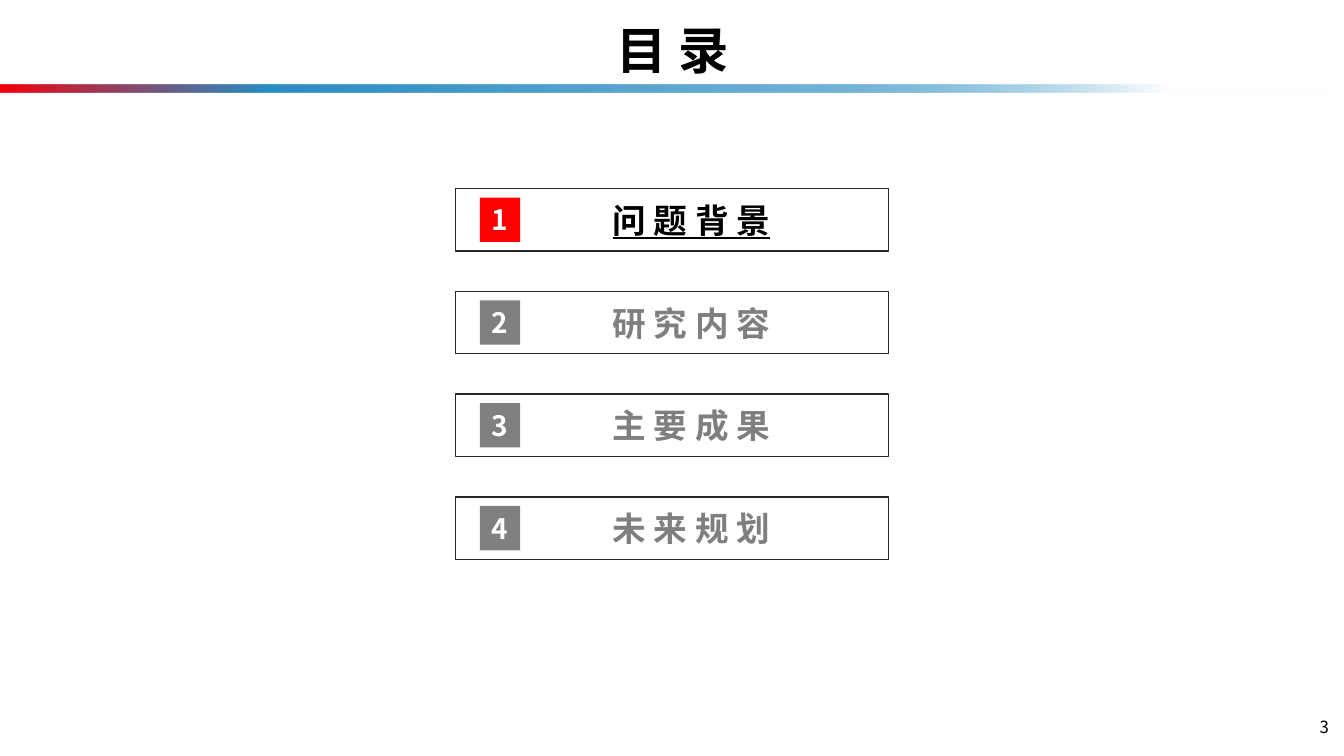
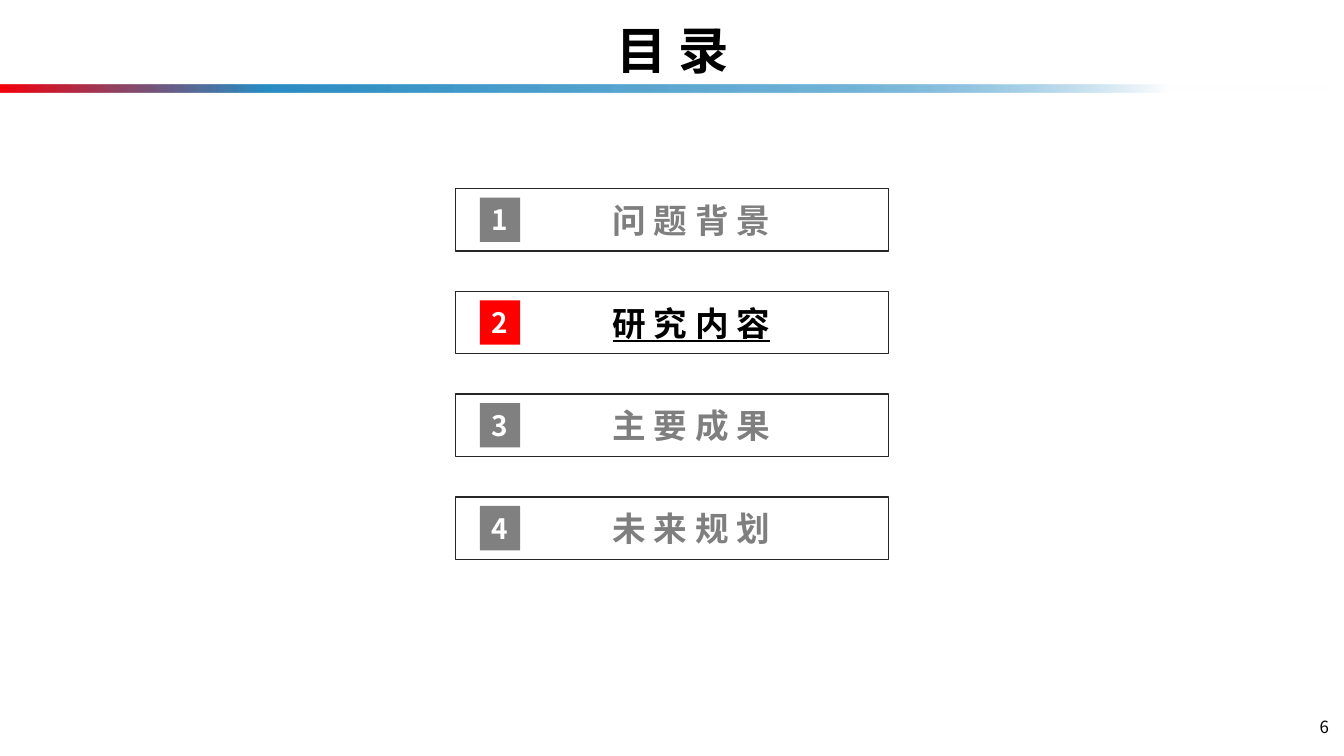
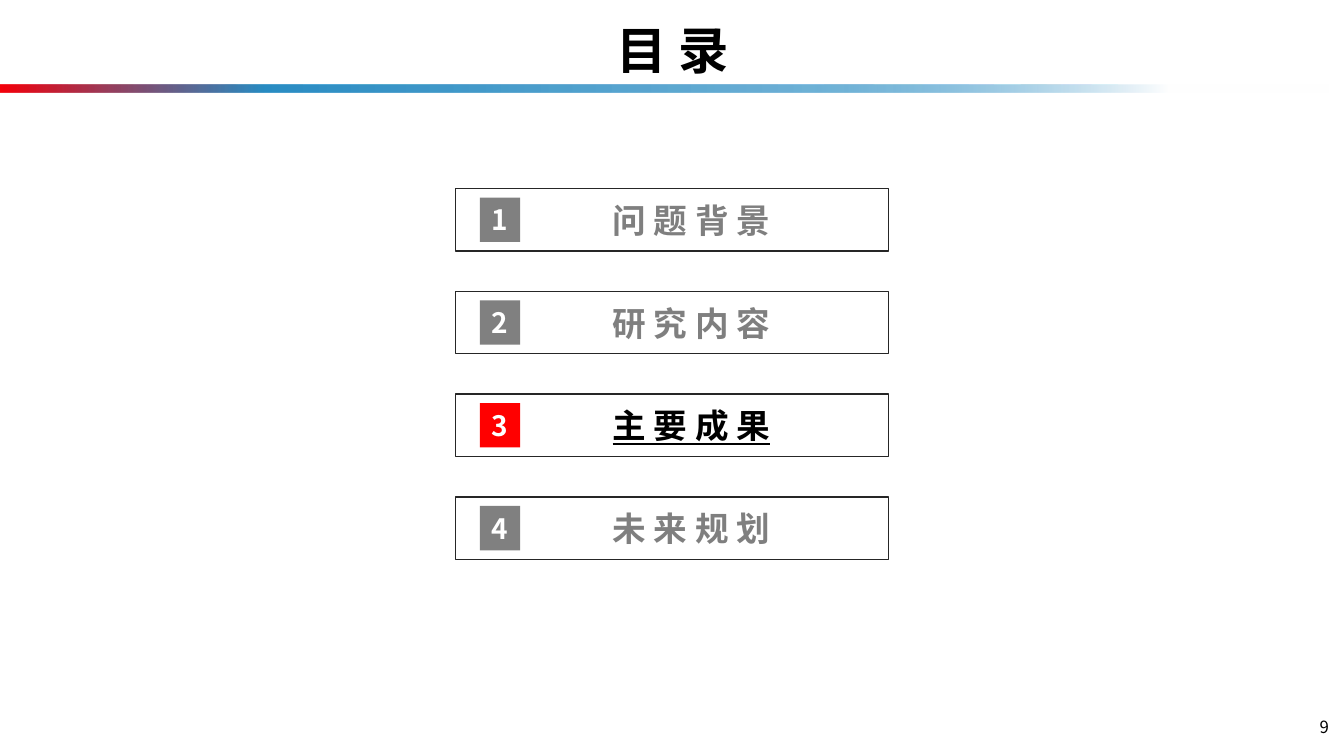
from lxml import etree
from pptx import Presentation
from pptx.dml.color import RGBColor
from pptx.enum.shapes import MSO_SHAPE
from pptx.enum.text import MSO_ANCHOR, MSO_AUTO_SIZE, PP_ALIGN
from pptx.oxml import parse_xml
from pptx.oxml.ns import qn
from pptx.util import Inches, Pt

RECT = MSO_SHAPE.RECTANGLE
MIDDLE, TOP = MSO_ANCHOR.MIDDLE, MSO_ANCHOR.TOP
CENTER, RIGHT = PP_ALIGN.CENTER, PP_ALIGN.RIGHT
NO_AUTOFIT = MSO_AUTO_SIZE.NONE

FONT = "Noto Sans CJK SC"
BLACK, WHITE, RED = "000000", "FFFFFF", "FF0000"
BORDER, GREY_TEXT, GREY_FILL = "262626", "7F7F7F", "808080"

# Position %, colour, opacity %
BAND_STOPS = [(0, "F5000A", 100), (20, "0077B8", 84),
              (61, "0077B8", 57), (88, "FFFFFF", 100)]

TITLE = "目 录"
SECTIONS = ["问 题 背 景", "研 究 内 容", "主 要 成 果", "未 来 规 划"]
AGENDA_BOX = (4.52, 1.87, 4.29, 3.68)
ROW_H = 0.62
SLIDES = [(1, "3"), (2, "6"), (3, "9")]  # current section, page number


def rgb(color):
    return RGBColor.from_string(color)


def write(shape, text, size, color, bold=False, underline=False,
          align=CENTER, anchor=MIDDLE):
    """Set one formatted line of text in a shape."""
    tf = shape.text_frame
    tf.text = text
    tf.word_wrap = True
    tf.vertical_anchor = anchor
    p = tf.paragraphs[0]
    p.alignment = align
    r = p.runs[0]
    r.font.name, r.font.size = FONT, Pt(size)
    r.font.bold, r.font.underline = bold, underline
    r.font.color.rgb = rgb(color)
    ea = etree.SubElement(r.font._element, qn("a:ea"))
    ea.set("typeface", FONT)


def add_rect(s, x, y, w, h, fill=None, line=None):
    sp = s.shapes.add_shape(RECT, Inches(x), Inches(y), Inches(w), Inches(h))
    sp.shadow.inherit = False
    if fill:
        sp.fill.solid()
        sp.fill.fore_color.rgb = rgb(fill)
    else:
        sp.fill.background()
    if line:
        sp.line.color.rgb = rgb(line)
        sp.line.width = Pt(1)
    else:
        sp.line.fill.background()
    return sp


def set_gradient(sp, stops):
    """Replace the empty fill with a left-to-right gradient."""
    gs = "".join(
        f'<a:gs pos="{pos * 1000}"><a:srgbClr val="{color}">'
        f'<a:alpha val="{alpha * 1000}"/></a:srgbClr></a:gs>'
        for pos, color, alpha in stops)
    grad = parse_xml(
        '<a:gradFill xmlns:a="http://schemas.openxmlformats.org/drawingml/2006/main"'
        f' rotWithShape="1"><a:gsLst>{gs}</a:gsLst><a:lin ang="0" scaled="0"/></a:gradFill>')
    sp_pr = sp.element.spPr
    sp_pr.replace(sp_pr.find(qn("a:noFill")), grad)


def style_layout(layout):
    """Place the title for every slide."""
    title = next(ph for ph in layout.placeholders if ph.placeholder_format.idx == 0)
    title.left, title.top = Inches(1.96), Inches(0.13)
    title.width, title.height = Inches(9.42), Inches(0.71)
    tf = title.text_frame
    tf.margin_top = tf.margin_bottom = 0
    tf.auto_size = NO_AUTOFIT


def add_band(s):
    """Draw the band under the title and hand it to the layout."""
    band = add_rect(s, 0, 0.84, 13.18, 0.08)
    set_gradient(band, BAND_STOPS)
    s.slide_layout.shapes.element.append(band.element)


def add_page_number(s, number):
    tb = s.shapes.add_textbox(Inches(10.17), Inches(7.06), Inches(3.11), Inches(0.4))
    write(tb, number, 12, BLACK, align=RIGHT, anchor=TOP)


def add_agenda_row(s, x, y, w, h, number, text, current):
    # Framed section name, shifted right to clear the number
    frame = add_rect(s, x, y, w, h, line=BORDER)
    frame.text_frame.margin_left = Inches(0.48)
    write(frame, text, 24, BLACK if current else GREY_TEXT, True, current)
    # Number tile
    tile_h = 0.44
    tile = add_rect(s, x + 0.24, y + (h - tile_h) / 2, 0.4, tile_h,
                    fill=RED if current else GREY_FILL)
    tf = tile.text_frame
    tf.margin_left = tf.margin_right = tf.margin_top = tf.margin_bottom = 0
    write(tile, str(number), 20, WHITE, True)


def add_agenda(s, box, current):
    x, y, w, h = box
    step = (h - ROW_H) / (len(SECTIONS) - 1)
    for i, text in enumerate(SECTIONS):
        add_agenda_row(s, x, y + i * step, w, ROW_H, i + 1, text, i + 1 == current)


def add_agenda_slide(prs, layout, current, page_number):
    s = prs.slides.add_slide(layout)
    write(s.shapes.title, TITLE, 36, BLACK, True)
    add_page_number(s, page_number)
    add_agenda(s, AGENDA_BOX, current)
    return s


def main():
    prs = Presentation()
    prs.slide_width, prs.slide_height = Inches(13.33), Inches(7.5)
    layout = prs.slide_layouts[5]
    style_layout(layout)
    slides = [add_agenda_slide(prs, layout, *item) for item in SLIDES]
    add_band(slides[0])
    prs.save("out.pptx")


if __name__ == "__main__":
    main()
